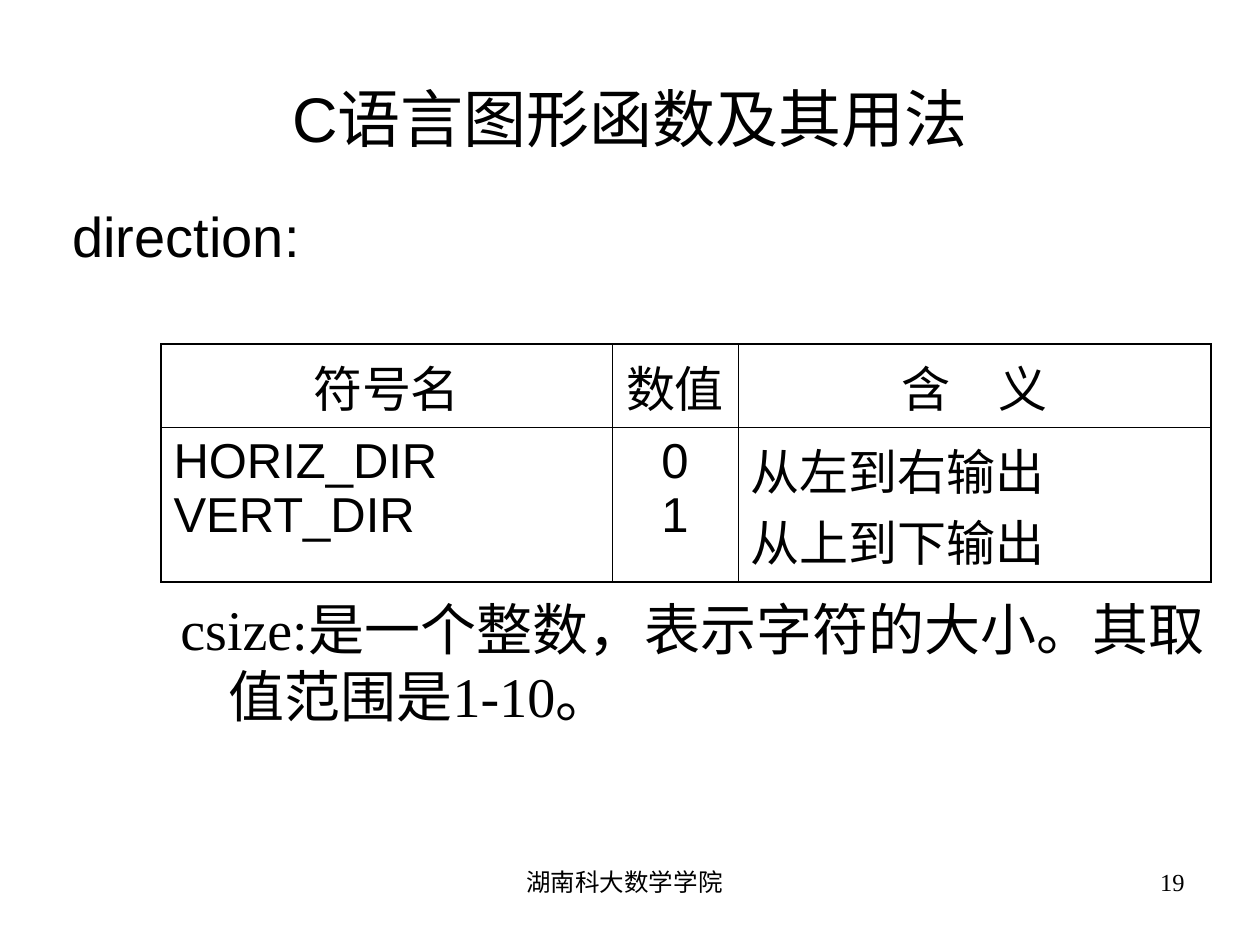
import pptx
import pptx.dml.color
import pptx.enum.text
import pptx.oxml
import pptx.oxml.ns
import pptx.util

PX = 914400 / 126
BLACK = pptx.dml.color.RGBColor(0x00, 0x00, 0x00)
WHITE = pptx.dml.color.RGBColor(0xFF, 0xFF, 0xFF)
ALIGN = pptx.enum.text.PP_ALIGN
MIDDLE = pptx.enum.text.MSO_ANCHOR.MIDDLE
OUTER_PT, INNER_PT = 1.08, 0.45


def px(length):
    return pptx.util.Emu(round(length * PX))


class SlideBuilder:
    def __init__(self, slide, color=BLACK):
        self.slide = slide
        self.color = color

    def format_text(self, frame, text, size, font, align=ALIGN.LEFT):
        frame.text = text
        frame.word_wrap = True
        values = {"size": pptx.util.Pt(size), "name": font}
        for paragraph in frame.paragraphs:
            paragraph.alignment = align
            for run in paragraph.runs:
                for name, value in values.items():
                    setattr(run.font, name, value)
                run.font.color.rgb = self.color

    def title(self, text, box, size, font):
        title = self.slide.shapes.title
        for name, value in zip(("left", "top", "width", "height"), box):
            setattr(title, name, px(value))
        self.format_text(title.text_frame, text, size, font, ALIGN.CENTER)
        title.text_frame.vertical_anchor = MIDDLE

    def text(self, text, box, size, font, align=ALIGN.LEFT, hanging=0):
        frame = self.slide.shapes.add_textbox(*map(px, box)).text_frame
        self.format_text(frame, text, size, font, align)
        if hanging:
            properties = frame.paragraphs[0]._p.get_or_add_pPr()
            properties.set("marL", str(px(hanging)))
            properties.set("indent", str(-px(hanging)))

    def borders(self, cell, widths):
        """Add left, right, top and bottom borders, in points, before the cell fill."""
        properties = cell._tc.get_or_add_tcPr()
        for position, (side, width) in enumerate(zip("LRTB", widths)):
            properties.insert(position, pptx.oxml.parse_xml(
                f'<a:ln{side} {pptx.oxml.ns.nsdecls("a")} w="{pptx.util.Pt(width)}">'
                f'<a:solidFill><a:srgbClr val="{self.color}"/></a:solidFill></a:ln{side}>'))

    def table(self, rows, left, top, widths, heights, aligns, size, font):
        box = (left, top, sum(widths), sum(heights))
        table = self.slide.shapes.add_table(
            len(rows), len(widths), *map(px, box)).table
        table.first_row = table.horz_banding = False
        for column, width in zip(table.columns, widths):
            column.width = px(width)
        for row, height in zip(table.rows, heights):
            row.height = px(height)
        last_row, last_column = len(heights) - 1, len(widths) - 1
        for r, row in enumerate(rows):
            for c, text in enumerate(row):
                cell = table.cell(r, c)
                cell.fill.solid()
                cell.fill.fore_color.rgb = WHITE
                self.format_text(cell.text_frame, text, size, font, aligns[r][c])
                at_edge = (c == 0, c == last_column, r == 0, r == last_row)
                self.borders(cell, [OUTER_PT if edge else INNER_PT for edge in at_edge])


def main():
    presentation = pptx.Presentation()
    presentation.slide_width = px(1260)
    presentation.slide_height = px(945)
    slide = presentation.slides.add_slide(presentation.slide_layouts[5])
    builder = SlideBuilder(slide)

    builder.title("C语言图形函数及其用法", (63, 38, 1134, 158), 36, "Arial")
    symbols = [
        ("符号名", "数值", "含　义"),
        ("HORIZ_DIR\vVERT_DIR", "0\v1", "从左到右输出\v从上到下输出"),
    ]
    aligns = [(ALIGN.CENTER,) * 3, (ALIGN.LEFT, ALIGN.CENTER, ALIGN.LEFT)]
    builder.table(symbols, 161, 344, (451, 126, 473), (72, 131), aligns, 28, "Arial")
    builder.text("csize:是一个整数，表示字符的大小。其取值范围是1-10。",
                 (168, 588, 1050, 242), 32, "Times New Roman", hanging=48)
    builder.text("湖南科大数学学院", (425, 861, 399, 66), 14, "Times New Roman", ALIGN.CENTER)
    builder.text("19", (903, 861, 294, 66), 14, "Times New Roman", ALIGN.RIGHT)
    builder.text("direction:", (60, 195, 1118, 116), 32, "Arial", hanging=48)
    presentation.save("out.pptx")


if __name__ == "__main__":
    main()
